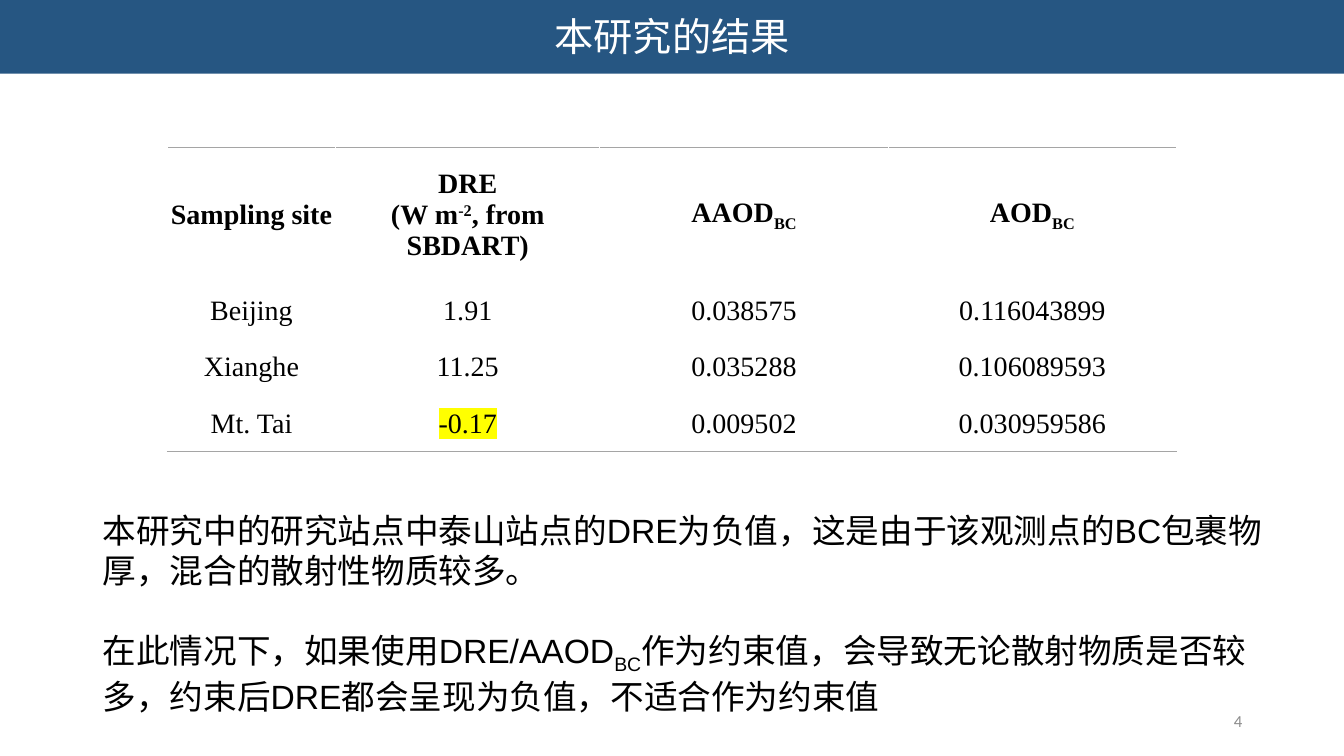
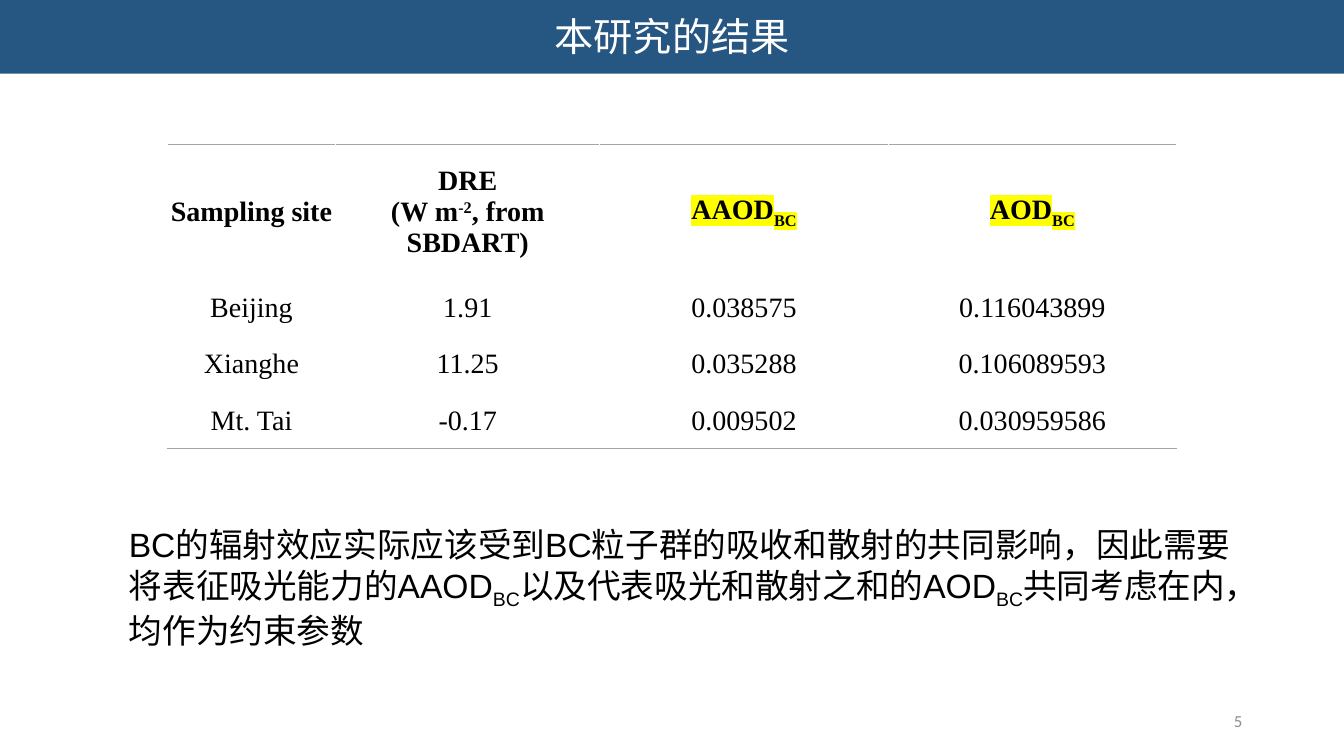
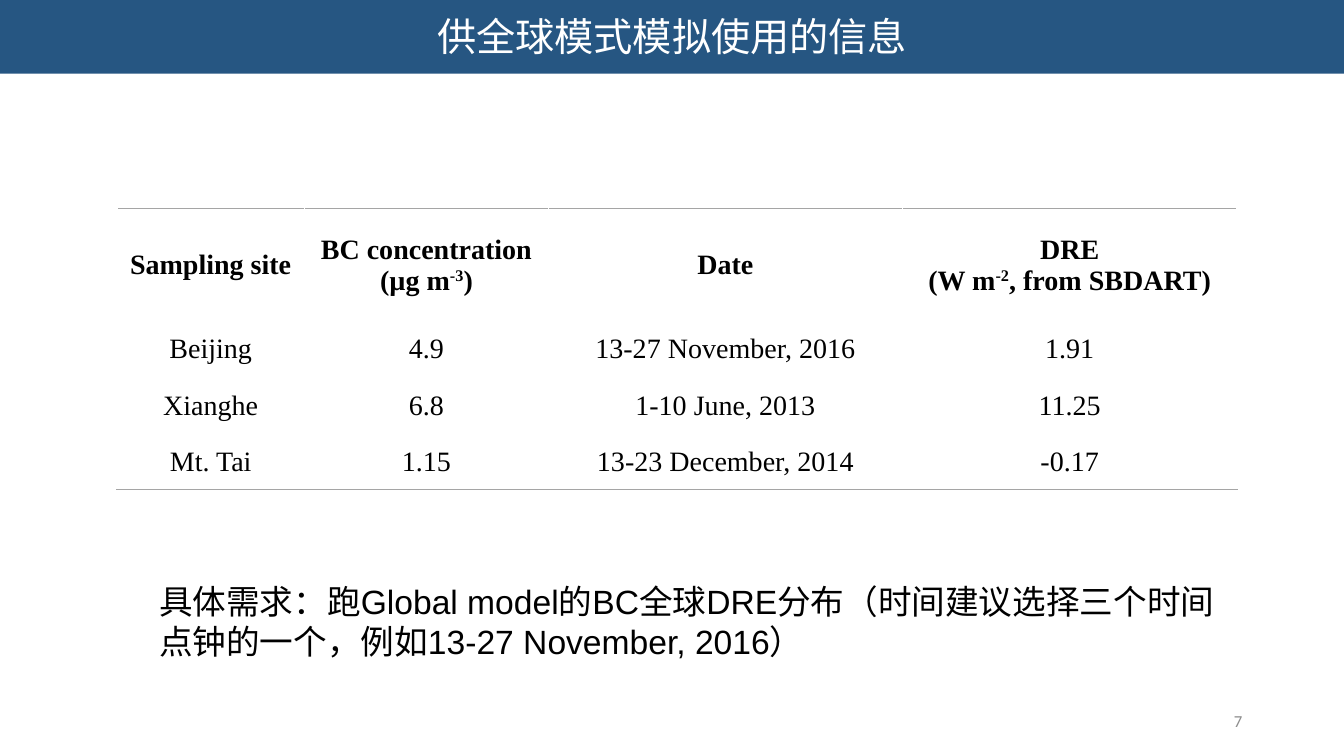
from dataclasses import dataclass

from lxml import etree
from pptx import Presentation
from pptx.dml.color import RGBColor
from pptx.enum import text
from pptx.oxml import ns
from pptx.util import Inches, Pt

BAND_BLUE = RGBColor(0x26, 0x56, 0x82)
WHITE = RGBColor(0xFF, 0xFF, 0xFF)
BLACK = RGBColor(0x00, 0x00, 0x00)
NUMBER_GREY = RGBColor(0x8C, 0x8C, 0x8C)
RULE_GREY = RGBColor(0xA5, 0xA5, 0xA5)
MARKER_YELLOW = RGBColor(0xFF, 0xFF, 0x00)

SLIDE_WIDTH, SLIDE_HEIGHT = 13.33, 7.5
TITLE_ONLY = 5
ROW_HEIGHT = 0.56


@dataclass
class Span:
    """A piece of text; baseline is a percentage, negative for a subscript."""
    text: str
    baseline: int = 0
    marked: bool = False


DRE_HEADER = [["DRE"], ["(W m", Span("-2", 30), ", from SBDART)"]]
BC = Span("BC", -25)
SITES = ["Beijing", "Xianghe", "Mt. Tai"]
DRE = ["1.91", "11.25", "-0.17"]
AAOD = ["0.038575", "0.035288", "0.009502"]
AOD = ["0.116043899", "0.106089593", "0.030959586"]
CONCENTRATION = ["4.9", "6.8", "1.15"]
DATES = ["13-27 November, 2016", "1-10 June, 2013", "13-23 December, 2014"]


def add_color_element(parent, tag, color):
    element = etree.SubElement(parent, ns.qn(tag))
    etree.SubElement(element, ns.qn("a:srgbClr")).set("val", str(color))


def add_span(para, span, size, font_name, color, bold=False):
    if isinstance(span, str):
        span = Span(span)
    run = para.add_run()
    run.text = span.text
    run.font.size = Pt(size)
    run.font.bold = bold
    run.font.color.rgb = color
    properties = run.font._element
    if span.baseline:
        properties.set("baseline", str(span.baseline * 1000))
    if span.marked:
        add_color_element(properties, "a:highlight", MARKER_YELLOW)
    run.font.name = font_name


def write_lines(frame, lines, size, font_name, color, bold=False,
                align=text.PP_ALIGN.LEFT, gap=0):
    """Write one paragraph per line, with gap points between them."""
    for index, spans in enumerate(lines):
        para = frame.add_paragraph() if index else frame.paragraphs[0]
        para.alignment = align
        para.space_before = Pt(gap if index else 0)
        for span in spans:
            add_span(para, span, size, font_name, color, bold)


def add_page(deck, title, number):
    """Add a slide with the title band and the page number."""
    page = deck.slides.add_slide(deck.slide_layouts[TITLE_ONLY])
    band = page.shapes.title
    band.left, band.top = Inches(0), Inches(-0.01)
    band.width, band.height = Inches(SLIDE_WIDTH), Inches(0.74)
    band.fill.solid()
    band.fill.fore_color.rgb = BAND_BLUE
    frame = band.text_frame
    frame.auto_size = text.MSO_AUTO_SIZE.NONE
    frame.vertical_anchor = text.MSO_ANCHOR.MIDDLE
    write_lines(frame, [[title]], 28, "Calibri", WHITE,
                align=text.PP_ALIGN.CENTER)

    frame = add_text_box(page, 9.42, 6.95, 3, 0.4)
    frame.vertical_anchor = text.MSO_ANCHOR.MIDDLE
    write_lines(frame, [[str(number)]], 12, "Calibri", NUMBER_GREY,
                align=text.PP_ALIGN.RIGHT)
    return page


def add_text_box(page, left, top, width, height):
    box = page.shapes.add_textbox(
        Inches(left), Inches(top), Inches(width), Inches(height))
    box.text_frame.word_wrap = True
    return box.text_frame


def add_comment(page, left, top, width, height, lines):
    frame = add_text_box(page, left, top, width, height)
    frame.auto_size = text.MSO_AUTO_SIZE.SHAPE_TO_FIT_TEXT
    write_lines(frame, lines, 24, "Arial", BLACK, gap=28)


def add_rule(cell, side):
    """Draw a thin grey border on one side of a cell: lnT or lnB."""
    line = etree.Element(ns.qn("a:" + side), w=str(Pt(1)))
    add_color_element(line, "a:solidFill", RULE_GREY)
    cell._tc.get_or_add_tcPr().insert(0, line)


def fill_cell(cell, lines, bold):
    cell.fill.background()
    cell.vertical_anchor = text.MSO_ANCHOR.MIDDLE
    cell.margin_left = cell.margin_right = cell.margin_top = Inches(0.01)
    cell.margin_bottom = Inches(0)
    write_lines(cell.text_frame, lines, 20, "Times New Roman", BLACK, bold,
                text.PP_ALIGN.CENTER)


def add_site_table(page, left, top, widths, header_height, columns):
    """Add a table from columns of (header lines, values)."""
    heights = [header_height] + [ROW_HEIGHT] * len(SITES)
    table = page.shapes.add_table(
        len(heights), len(widths), Inches(left), Inches(top),
        Inches(sum(widths)), Inches(sum(heights))).table
    table.first_row = table.horz_banding = False
    for row, height in zip(table.rows, heights):
        row.height = Inches(height)
    for index, (width, (header, values)) in enumerate(zip(widths, columns)):
        table.columns[index].width = Inches(width)
        fill_cell(table.cell(0, index), header, True)
        for row, value in enumerate(values, 1):
            fill_cell(table.cell(row, index), [[value]], False)
        add_rule(table.cell(0, index), "lnT")
        add_rule(table.cell(len(values), index), "lnB")


def add_results_table(page, top, mark_negative=False, mark_depths=False):
    def depth_header(name):
        return [[Span(name, 0, mark_depths), Span("BC", -25, mark_depths)]]

    dre = [Span(value, 0, mark_negative and value.startswith("-"))
           for value in DRE]
    add_site_table(page, 1.66, top, [1.67, 2.62, 2.86, 2.86], 1.34, [
        ([["Sampling site"]], SITES),
        (DRE_HEADER, dre),
        (depth_header("AAOD"), AAOD),
        (depth_header("AOD"), AOD),
    ])


def add_negative_dre_page(deck):
    page = add_page(deck, "本研究的结果", 4)
    add_results_table(page, 1.46, mark_negative=True)
    add_comment(page, 0.92, 5.01, 11.8, 2.12, [
        ["本研究中的研究站点中泰山站点的DRE为负值，这是由于该观测点的BC包裹物厚，"
         "混合的散射性物质较多。"],
        ["在此情况下，如果使用DRE/AAOD", BC,
         "作为约束值，会导致无论散射物质是否较多，约束后DRE都会呈现为负值，"
         "不适合作为约束值"],
    ])


def add_optical_depth_page(deck):
    page = add_page(deck, "本研究的结果", 5)
    add_results_table(page, 1.43, mark_depths=True)
    add_comment(page, 1.18, 5.15, 11.24, 1.31, [
        ["BC的辐射效应实际应该受到BC粒子群的吸收和散射的共同影响，"
         "因此需要将表征吸光能力的AAOD", BC,
         "以及代表吸光和散射之和的AOD", BC,
         "共同考虑在内，均作为约束参数"],
    ])


def add_global_model_page(deck):
    page = add_page(deck, "供全球模式模拟使用的信息", 7)
    add_site_table(page, 1.16, 2.07, [1.86, 2.42, 3.51, 3.32], 1.11, [
        ([["Sampling site"]], SITES),
        ([["BC concentration"], ["(µg m", Span("-3", 30), ")"]],
         CONCENTRATION),
        ([["Date"]], DATES),
        (DRE_HEADER, DRE),
    ])
    add_comment(page, 1.48, 5.71, 10.79, 0.91, [
        ["具体需求：跑Global model的BC全球DRE分布（时间建议选择三个时间点钟的一个，"
         "例如13-27 November, 2016）"],
    ])


def main():
    deck = Presentation()
    deck.slide_width = Inches(SLIDE_WIDTH)
    deck.slide_height = Inches(SLIDE_HEIGHT)
    add_negative_dre_page(deck)
    add_optical_depth_page(deck)
    add_global_model_page(deck)
    deck.save("out.pptx")


if __name__ == "__main__":
    main()
